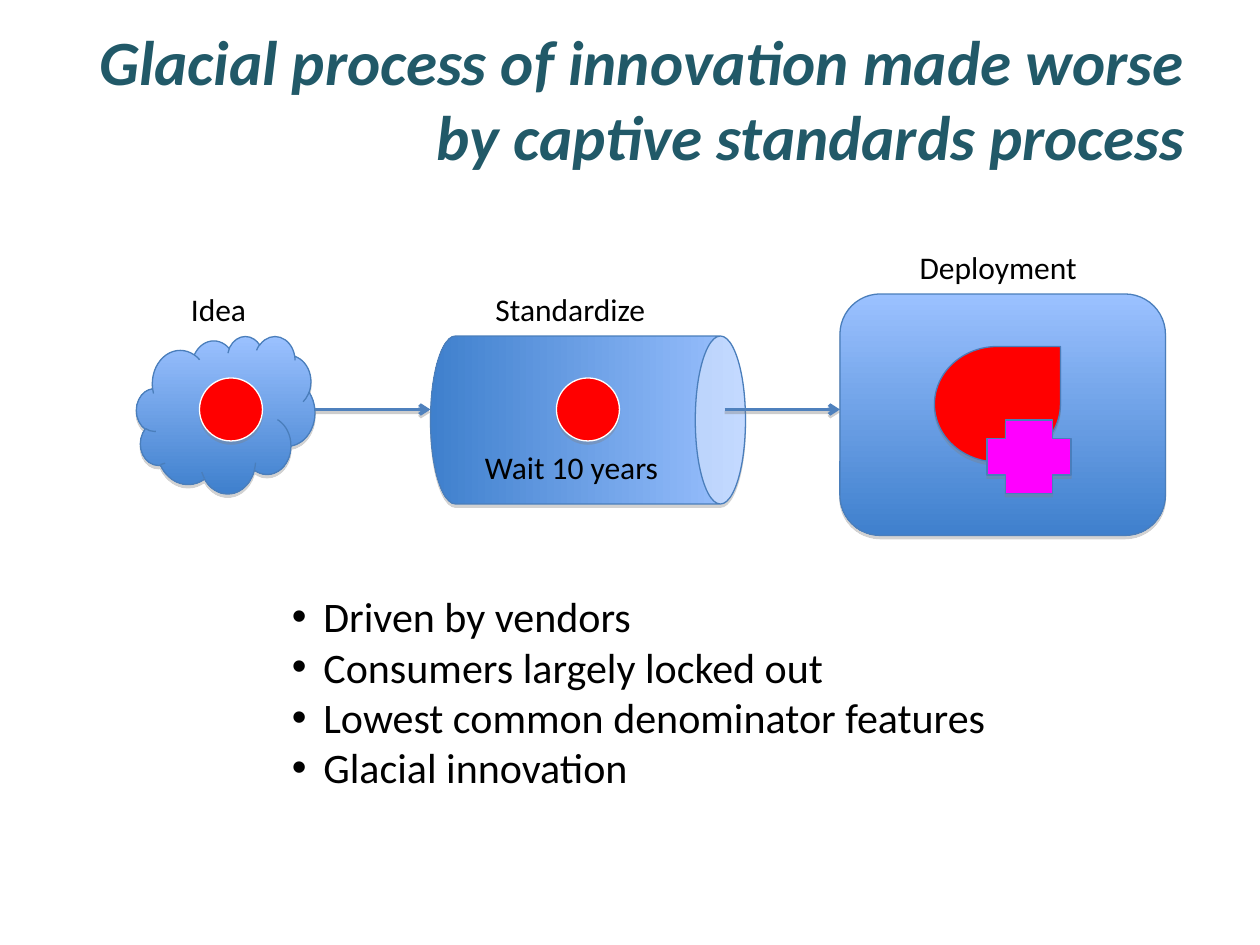
from lxml import etree
from pptx import Presentation
from pptx import util as u
from pptx.dml.color import RGBColor
from pptx.enum import shapes, text
from pptx.oxml.ns import qn

COLORS = {"title": "215968", "text": "000000", "light": "9BC1FF", "dark": "3F80CD",
          "outline": "4A7EBB", "arrow": "4F81BD", "idea": "FF0000", "extra": "FF00FF",
          "white": "FFFFFF", "shadow": "808080"}
CELL = u.Inches(1) / 12  # grid of 120 columns by 90 rows
KIND = shapes.MSO_SHAPE


def color(name):
    return RGBColor.from_string(COLORS[name])


def cells(*counts):
    return [u.Emu(round(count * CELL)) for count in counts]


def set_font(font, name="text", **values):
    for key, value in {"name": "Calibri", **values}.items():
        setattr(font, key, value)
    font.color.rgb = color(name)


def add_shadow(effects, alpha, distance):
    shadow = etree.SubElement(effects, qn("a:outerShdw"), blurRad="0",
                              dist=str(u.Pt(distance)), dir="5400000", rotWithShape="0")
    shade = etree.SubElement(shadow, qn("a:srgbClr"), val=COLORS["shadow"])
    etree.SubElement(shade, qn("a:alpha"), val=str(alpha * 1000))


def add_figure(parent, kind, box, fill=None, line="outline", adjust=None, rotation=0):
    """Outlined, shadowed shape; a blue gradient unless a fill is named."""
    shape = parent.add_shape(kind, *cells(*box))
    shape.rotation = rotation
    if adjust is not None:
        shape.adjustments[0] = adjust
    if fill:
        shape.fill.solid()
        shape.fill.fore_color.rgb = color(fill)
    else:
        shape.fill.gradient()
        shape.fill.gradient_angle = 270
        for stop, name, position in zip(shape.fill.gradient_stops, ("light", "dark"), (0, 1)):
            stop.color.rgb = color(name)
            stop.position = position
    shape.line.color.rgb = color(line)
    shape.line.width = u.Pt(0.75)
    shape.shadow.inherit = False
    add_shadow(shape._element.spPr.find(qn("a:effectLst")), 35, 1.8)


def add_idea(parent, left, top):
    add_figure(parent, KIND.OVAL, (left, top, 6, 6), "idea", "white")


def add_label(parent, words, left, top, width, wrap=False):
    box = parent.add_textbox(*cells(left, top, width, 4.8))
    box.text_frame.word_wrap = wrap
    box.text_frame.auto_size = text.MSO_AUTO_SIZE.SHAPE_TO_FIT_TEXT
    para = box.text_frame.paragraphs[0]
    span = para.add_run()
    span.text = words
    set_font(span.font, size=u.Pt(18))


def add_arrow(parent, left, top, width):
    arrow = parent.add_connector(shapes.MSO_CONNECTOR.STRAIGHT,
                                 *cells(left, top, left + width, top))
    arrow.line.color.rgb = color("arrow")
    arrow.line.width = u.Pt(2)
    etree.SubElement(arrow.line._get_or_add_ln(), qn("a:tailEnd"), type="arrow")
    add_shadow(etree.SubElement(arrow._element.spPr, qn("a:effectLst")), 38, 1.6)


def place(placeholder, box):
    for key, value in zip(("left", "top", "width", "height"), cells(*box)):
        setattr(placeholder, key, value)
    frame = placeholder.text_frame
    frame.word_wrap = True
    frame.auto_size = text.MSO_AUTO_SIZE.NONE
    frame.vertical_anchor = text.MSO_ANCHOR.MIDDLE
    return frame


def fill_title(title, box):
    para = place(title, box).paragraphs[0]
    para.text = "Glacial process of innovation made worse by captive standards process"
    para.alignment = text.PP_ALIGN.RIGHT
    set_font(para.runs[0].font, "title", size=u.Pt(36), bold=True, italic=True)


def fill_list(body, box, items):
    frame = place(body, box)
    frame.margin_left = u.Inches(0.4)
    frame.text = "\n".join(items)
    indent = u.Inches(0.25)
    for para in frame.paragraphs:
        props = para._p.get_or_add_pPr()
        props.set("marL", str(indent))
        props.set("indent", str(-indent))
        para.space_before = u.Pt(0)
        etree.SubElement(props, qn("a:buFont"), typeface="Arial")
        etree.SubElement(props, qn("a:buChar"), char="•")
        set_font(para.runs[0].font, size=u.Pt(24))


def add_idea_stage(parent, left, top):
    add_figure(parent, KIND.CLOUD, (left, top, 17, 15))
    add_idea(parent, left + 6, top + 4)
    add_label(parent, "Idea", left + 4, top - 5, 8.3)


def add_standard_stage(parent, left, top, width=30, height=16):
    # The can stands upright and is turned about its centre
    offset = (width - height) / 2
    add_figure(parent, KIND.CAN, (left + offset, top - offset, height, width),
               adjust=0.299, rotation=90)
    add_label(parent, "Standardize", left + 5, top - 5, 18.6)
    waiting = parent.add_group_shape().shapes
    add_label(waiting, "Wait 10 years", left + 4, top + 10.1, 27, wrap=True)
    add_idea(waiting, left + 12, top + 4)


def add_deployment_stage(parent, left, top):
    add_figure(parent, KIND.ROUNDED_RECTANGLE, (left, top, 31, 23), adjust=0.167)
    add_label(parent, "Deployment", left + 6.4, top - 5, 18.6)
    add_figure(parent, KIND.TEAR, (left + 9, top + 5, 12, 11), "idea")
    add_figure(parent, KIND.CROSS, (left + 14, top + 12, 8, 7), "extra", adjust=0.25)


def main():
    deck = Presentation()
    deck.slide_width, deck.slide_height = cells(120, 90)
    page = deck.slides.add_slide(deck.slide_layouts[1])
    fill_title(page.shapes.title, (6, 3.6, 108, 11.4))
    fill_list(page.placeholders[1], (23, 55.7, 88, 20.3),
              ["Driven by vendors", "Consumers largely locked out",
               "Lowest common denominator features", "Glacial innovation"])

    # Process from idea to deployment
    add_idea_stage(page.shapes, 13, 32)
    add_standard_stage(page.shapes, 41, 32)
    add_deployment_stage(page.shapes, 80, 28)
    for left in (30, 69):
        add_arrow(page.shapes, left, 39, 11)
    deck.save("out.pptx")


if __name__ == "__main__":
    main()
